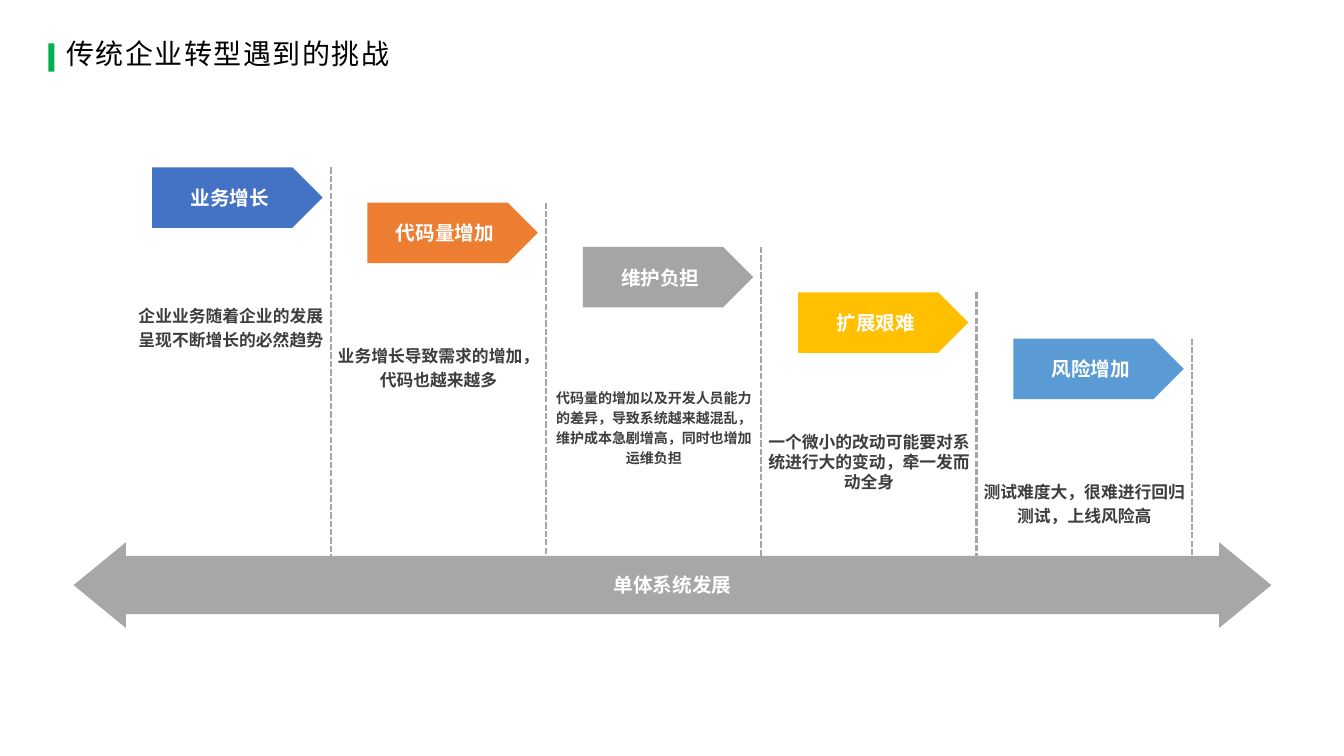
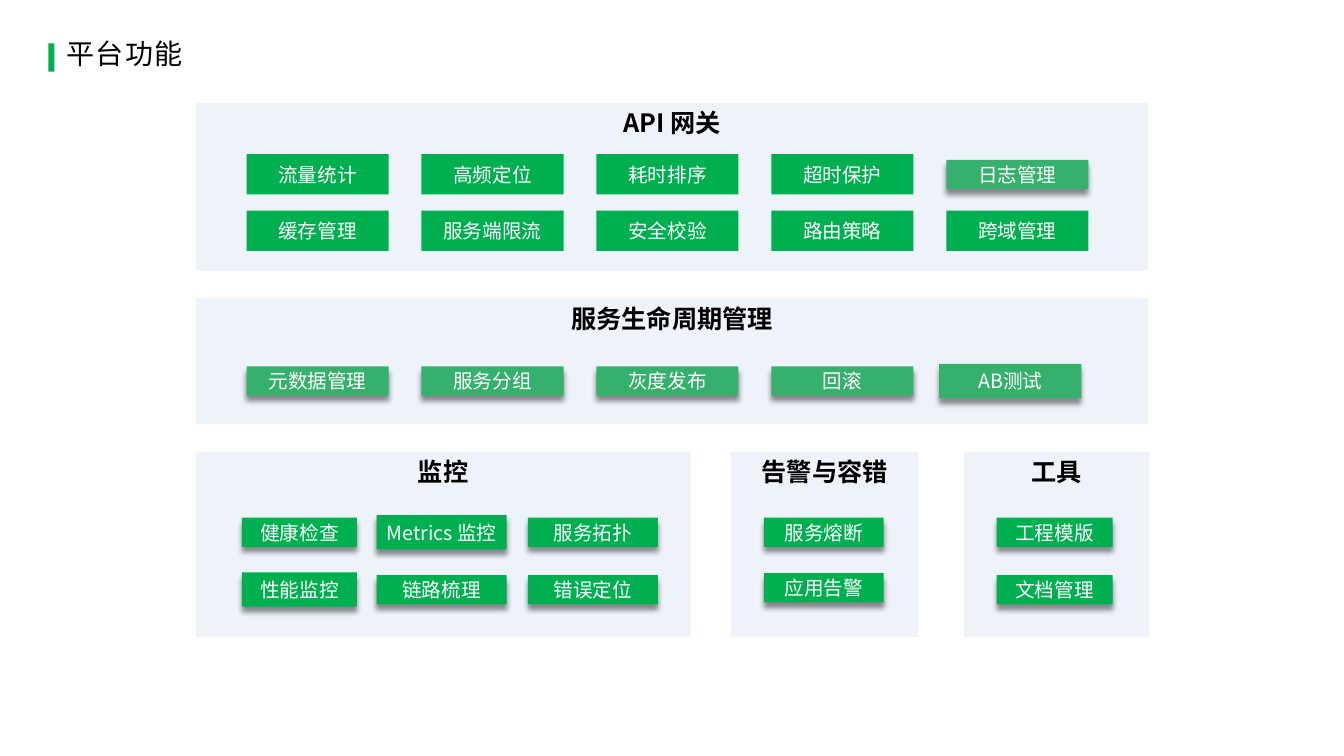
from lxml.etree import SubElement
from pptx import Presentation
from pptx.dml.color import RGBColor
from pptx.enum.dml import MSO_LINE as DASH
from pptx.enum.shapes import MSO_CONNECTOR as WIRE, MSO_SHAPE as FORM
from pptx.enum.text import MSO_ANCHOR as ANCHOR, PP_ALIGN as ALIGN
from pptx.oxml.ns import qn
from pptx.util import Inches, Pt

FONT = "Noto Sans CJK SC"
GREEN, SOFT, PALE = "00B050", "36B06D", "EDF3F9"
WHITE, BLACK, DARK = "FFFFFF", "000000", "3E3E3E"
GRAY, DASHED = "A7A7A7", "A6A6A6"

FLAT = (GREEN, 0.4, False)
TAG = (GREEN, 0.29, True)
TALL = (GREEN, 0.34, True)
MILD = (SOFT, 0.29, True)
HIGH = (SOFT, 0.34, True)

STEPS = [
    ("业务增长", "4472C4", 1.66, 1.28, 1.98, 12, 1.2,
     "企业业务随着企业的发展呈现不断增长的必然趋势"),
    ("代码量增加", "ED7D31", 2.01, 1.33, 2.13, 12, 1.2,
     "业务增长导致需求的增加，\n代码也越来越多"),
    ("维护负担", "A5A5A5", 2.45, 1.33, 2.13, 10, 1.2,
     "代码量的增加以及开发人员能力的差异，导致系统越来越混乱，"
     "维护成本急剧增高，同时也增加运维负担"),
    ("扩展艰难", "FFC000", 2.9, 1.33, 2.13, 12, 1,
     "一个微小的改动可能要对系统进行大的变动，牵一发而动全身"),
    ("风险增加", "5B9BD5", 3.36, 1.33, 2.13, 12, 1.2,
     "测试难度大，很难进行回归测试，上线风险高"),
]


def color(code):
    return RGBColor.from_string(code)


def spread(first, last, count):
    return [first + (last - first) * i / (count - 1) for i in range(count)]


def write(shape, text, size, code, bold=False, align=ALIGN.CENTER,
          anchor=ANCHOR.MIDDLE, inset=0, lead=1, track=0):
    frame = shape.text_frame
    frame.text = text
    frame.word_wrap = True
    frame.vertical_anchor = anchor
    frame.margin_left = frame.margin_right = Inches(inset)
    frame.margin_top = frame.margin_bottom = Inches(inset)
    for para in frame.paragraphs:
        para.alignment = align
        para.line_spacing = float(lead)
        for run in para.runs:
            font = run.font
            font.size = Pt(size)
            font.bold = bold
            font.color.rgb = color(code)
            font.name = FONT
            props = run._r.get_or_add_rPr()
            SubElement(props, qn("a:ea"), typeface=FONT)
            if track:
                props.set("spc", str(track * 100))


def block(slide, form, box, code):
    shape = slide.shapes.add_shape(form, *map(Inches, box))
    shape.shadow.inherit = False
    shape.fill.solid()
    shape.fill.fore_color.rgb = color(code)
    shape.line.fill.background()
    return shape


def label(slide, box, text, size, code, **style):
    shape = slide.shapes.add_textbox(*map(Inches, box))
    write(shape, text, size, code, **style)


def shade(shape):
    effects = shape._element.spPr.find(qn("a:effectLst"))
    outer = SubElement(effects, qn("a:outerShdw"), blurRad=str(Pt(4)),
                       dist=str(Pt(4)), dir="5400000", algn="t", rotWithShape="0")
    tint = SubElement(outer, qn("a:srgbClr"), val=BLACK)
    SubElement(tint, qn("a:alpha"), val="43000")


def divide(slide, x, top, bottom):
    line = slide.shapes.add_connector(
        WIRE.STRAIGHT, Inches(x), Inches(top), Inches(x), Inches(bottom))
    line.line.color.rgb = color(DASHED)
    line.line.width = Pt(1.5)
    line.line.dash_style = DASH.SQUARE_DOT
    SubElement(line._element.spPr, qn("a:effectLst"))


def start(deck, title):
    slide = deck.slides.add_slide(deck.slide_layouts[6])
    block(slide, FORM.RECTANGLE, (0.48, 0.43, 0.06, 0.28), GREEN)
    label(slide, (0.61, 0.22, 7.48, 0.66), title, 20, BLACK,
          align=ALIGN.LEFT, inset=0.05, lead=0.9, track=1)
    return slide


def step(slide, x, floor, data):
    name, code, top, drop, width, size, lead, text = data
    edge = x + 1.77
    flag = block(slide, FORM.PENTAGON, (x, top, 1.69, 0.6), code)
    write(flag, name, 14, WHITE, bold=True)
    divide(slide, edge, top, floor)
    label(slide, (edge - width, top + drop, width, 1.1), text, size, DARK,
          bold=True, anchor=ANCHOR.TOP, inset=0.05, lead=lead)


def trend(slide, box):
    arrow = block(slide, FORM.LEFT_RIGHT_ARROW, box, GRAY)
    arrow.adjustments[0] = 0.68
    arrow.adjustments[1] = 0.61
    write(arrow, "单体系统发展", 14, WHITE, bold=True)


def chip(slide, x, y, width, text, style):
    code, height, lifted = style
    shape = block(slide, FORM.RECTANGLE,
                  (x - width / 2, y - height / 2, width, height), code)
    write(shape, text, 14, WHITE)
    if lifted:
        shade(shape)


def panel(slide, box, title, cols, widths, rows, base, odd={}):
    left, top, width, height = box
    block(slide, FORM.RECTANGLE, box, PALE)
    label(slide, (left, top, width, 0.4), title, 18, BLACK,
          bold=True, anchor=ANCHOR.TOP, inset=0.05)
    for y, names in rows:
        for x, wide, name in zip(cols, widths, names):
            chip(slide, left + x, top + y, wide, name, odd.get(name, base))


def growth(deck):
    slide = start(deck, "传统企业转型遇到的挑战")
    for x, data in zip(spread(1.51, 10.05, len(STEPS)), STEPS):
        step(slide, x, 5.52, data)
    trend(slide, (0.73, 5.38, 11.88, 0.85))


def features(deck):
    slide = start(deck, "平台功能")
    grid = spread(1.21, 8.15, 5)
    wide = [1.41] * 5
    panel(slide, (1.94, 1.02, 9.45, 1.67), "API 网关", grid, wide, [
        (0.71, ["流量统计", "高频定位", "耗时排序", "超时保护", "日志管理"]),
        (1.27, ["缓存管理", "服务端限流", "安全校验", "路由策略", "跨域管理"]),
    ], FLAT, {"日志管理": MILD})
    panel(slide, (1.94, 2.96, 9.45, 1.25), "服务生命周期管理",
          grid[:4] + [8.08], wide, [
        (0.82, ["元数据管理", "服务分组", "灰度发布", "回滚", "AB测试"]),
    ], MILD, {"AB测试": HIGH})
    panel(slide, (1.94, 4.48, 4.91, 1.84), "监控",
          [1.03, 2.44, 3.94], [1.14, 1.29, 1.29], [
        (0.8, ["健康检查", "Metrics 监控", "服务拓扑"]),
        (1.37, ["性能监控", "链路梳理", "错误定位"]),
    ], TAG, {"Metrics 监控": TALL, "性能监控": TALL})
    panel(slide, (7.25, 4.48, 1.86, 1.84), "告警与容错", [0.92], [1.19], [
        (0.8, ["服务熔断"]),
        (1.35, ["应用告警"]),
    ], TAG)
    panel(slide, (9.56, 4.48, 1.84, 1.84), "工具", [0.9], [1.15], [
        (0.8, ["工程模版"]),
        (1.37, ["文档管理"]),
    ], TAG)


def main():
    deck = Presentation()
    deck.slide_width = Inches(13.33)
    deck.slide_height = Inches(7.5)
    growth(deck)
    features(deck)
    deck.save("out.pptx")


if __name__ == "__main__":
    main()
